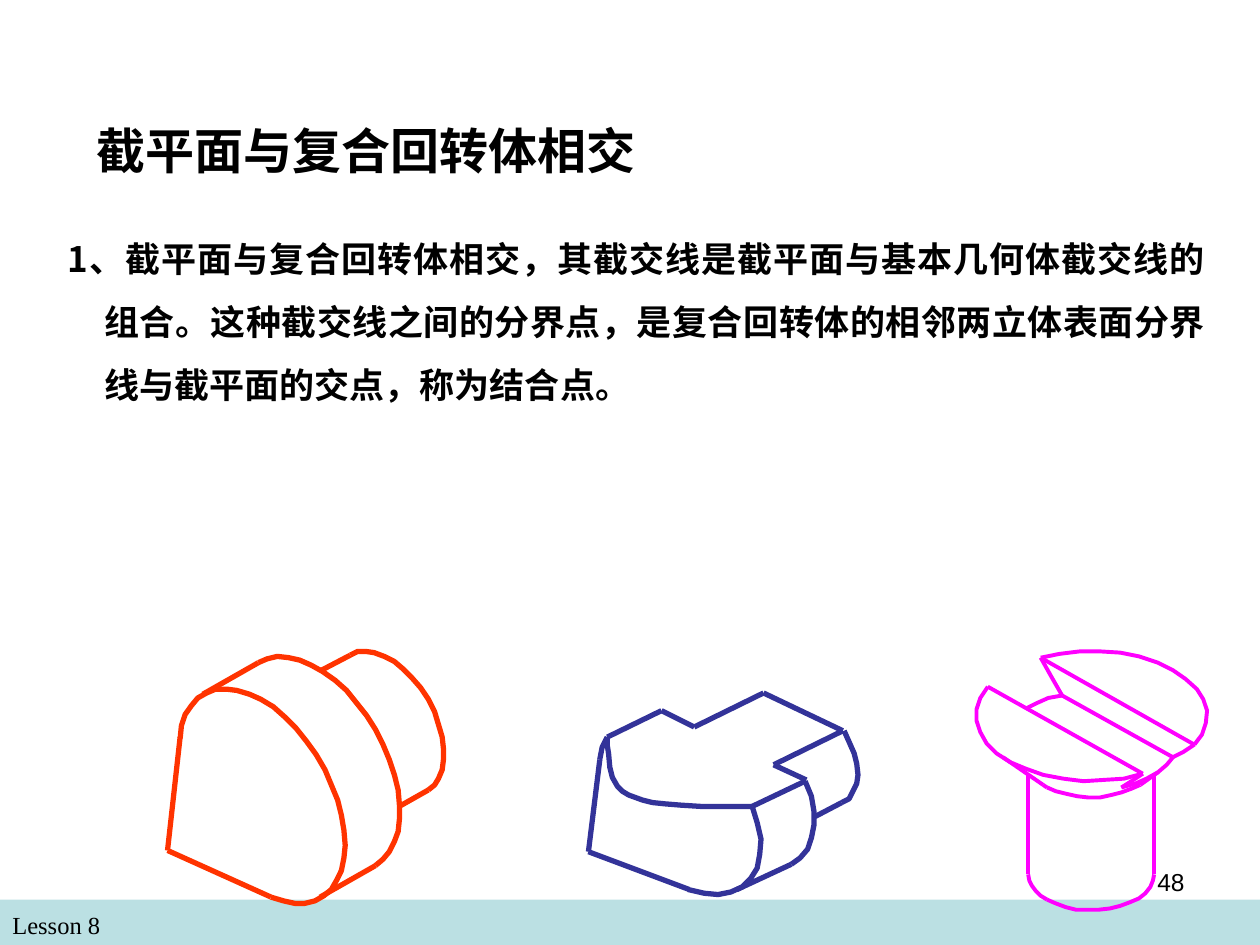
from lxml import etree
from pptx import Presentation
from pptx import util as u
from pptx.dml.color import RGBColor
from pptx.enum import shapes, text
from pptx.oxml.ns import qn

BLACK = RGBColor(0x00, 0x00, 0x00)
TEAL = RGBColor(0xBB, 0xE0, 0xE3)
RED = RGBColor(0xFF, 0x33, 0x00)
NAVY = RGBColor(0x33, 0x33, 0x99)
PINK = RGBColor(0xFF, 0x00, 0xFF)
HAN = "Noto Sans CJK SC"

# Each stroke is a list of (x, y) points in inches.
CAM = [
    # front face, collar and rear shaft
    [(2.15, 7.12), (2.25, 7.15), (2.34, 7.17), (2.42, 7.17), (2.5, 7.15),
     (2.57, 7.11), (2.63, 7.06), (2.67, 6.99), (2.71, 6.91), (2.73, 6.81),
     (2.74, 6.71), (2.73, 6.59), (2.71, 6.47), (2.68, 6.35), (2.63, 6.23),
     (2.58, 6.11), (2.51, 5.99), (2.43, 5.88), (2.35, 5.78), (2.26, 5.69),
     (2.17, 5.61), (2.07, 5.55), (1.98, 5.51), (1.88, 5.48), (1.8, 5.47),
     (1.71, 5.47), (1.64, 5.5), (1.57, 5.54), (1.52, 5.6), (1.47, 5.67),
     (1.44, 5.76), (1.43, 5.86)],
    [(2.98, 6.87), (3.04, 6.82), (3.09, 6.76), (3.13, 6.68), (3.16, 6.6),
     (3.17, 6.5), (3.17, 6.39), (3.16, 6.27), (3.13, 6.15), (3.09, 6.03),
     (3.04, 5.91), (2.98, 5.79), (2.91, 5.68), (2.83, 5.58), (2.75, 5.48),
     (2.66, 5.4), (2.56, 5.33), (2.47, 5.28), (2.38, 5.24), (2.29, 5.22),
     (2.2, 5.21), (2.12, 5.23), (2.05, 5.26)],
    [(3.4, 6.27), (3.45, 6.23), (3.48, 6.18), (3.51, 6.11), (3.52, 6.03),
     (3.52, 5.94), (3.51, 5.85), (3.48, 5.75), (3.45, 5.65), (3.4, 5.55),
     (3.34, 5.46), (3.27, 5.38), (3.2, 5.31), (3.13, 5.25), (3.05, 5.21),
     (2.97, 5.18), (2.9, 5.17), (2.84, 5.17), (2.78, 5.2)],
    # straight edges
    [(2.78, 5.2), (2.55, 5.32)],
    [(3.17, 6.4), (3.4, 6.27)],
    [(2.05, 5.26), (1.61, 5.51)],
    [(2.54, 7.12), (2.98, 6.87)],
    [(1.43, 5.85), (1.33, 6.75)],
    [(1.33, 6.75), (2.15, 7.12)],
]

BLOCK = [
    # round faces
    [(6.68, 6.37), (6.74, 6.34), (6.77, 6.28), (6.8, 6.22), (6.81, 6.15),
     (6.8, 6.06), (6.78, 5.98), (6.74, 5.89), (6.7, 5.8)],
    [(4.82, 5.85), (4.78, 5.93), (4.76, 6.03)],
    [(5.46, 7.06), (5.59, 7.09), (5.7, 7.1), (5.8, 7.08), (5.89, 7.04),
     (5.96, 6.97), (6.01, 6.89), (6.03, 6.78), (6.04, 6.66), (6.01, 6.53),
     (5.97, 6.4)],
    [(6.28, 6.86), (6.35, 6.81), (6.41, 6.74), (6.44, 6.65), (6.46, 6.55),
     (6.46, 6.44), (6.44, 6.32), (6.39, 6.2)],
    # top plane
    [(6.14, 6.07), (6.69, 5.8)],
    [(6.4, 6.19), (6.14, 6.07)],
    [(5.97, 6.4), (6.39, 6.2)],
    [(4.82, 5.85), (4.82, 5.92), (4.83, 5.98), (4.84, 6.09), (4.86, 6.17),
     (4.9, 6.24), (4.94, 6.28), (4.99, 6.31), (5.1, 6.35), (5.18, 6.37),
     (5.28, 6.38), (5.4, 6.39), (5.56, 6.4), (5.74, 6.4), (5.97, 6.4)],
    [(5.25, 5.64), (4.82, 5.85)],
    [(5.51, 5.77), (5.25, 5.64)],
    [(6.06, 5.5), (5.51, 5.77)],
    [(6.69, 5.8), (6.06, 5.5)],
    # side edges
    [(5.85, 7.06), (6.28, 6.86)],
    [(6.47, 6.48), (6.68, 6.37)],
    [(4.76, 6.03), (4.67, 6.76)],
    [(4.67, 6.76), (5.47, 7.06)],
]

SCREW = [
    # neck and shank
    [(8.31, 6.25), (8.38, 6.28), (8.46, 6.3), (8.55, 6.32), (8.64, 6.33),
     (8.73, 6.33), (8.82, 6.31), (8.9, 6.29), (8.98, 6.26), (9.05, 6.23)],
    [(8.28, 6.23), (8.31, 6.25)],
    [(8.31, 7.14), (8.38, 7.17), (8.46, 7.2), (8.54, 7.22), (8.63, 7.22),
     (8.72, 7.22), (8.81, 7.21), (8.89, 7.19), (8.97, 7.16), (9.04, 7.13),
     (9.09, 7.09), (9.13, 7.04), (9.15, 6.99), (9.16, 6.94)],
    [(8.16, 6.94), (8.17, 6.99), (8.19, 7.03), (8.22, 7.07), (8.26, 7.11),
     (8.31, 7.14)],
    # two halves of the head
    [(9.48, 5.91), (9.54, 5.83), (9.57, 5.74), (9.58, 5.64), (9.55, 5.55),
     (9.5, 5.47), (9.41, 5.39), (9.31, 5.32), (9.19, 5.26), (9.04, 5.21),
     (8.89, 5.18), (8.73, 5.17), (8.57, 5.17), (8.41, 5.19), (8.26, 5.22)],
    [(7.84, 5.45), (7.78, 5.54), (7.75, 5.63), (7.75, 5.72), (7.78, 5.81),
     (7.83, 5.9), (7.91, 5.98), (8.02, 6.05), (8.14, 6.1), (8.28, 6.15),
     (8.44, 6.18), (8.6, 6.2), (8.76, 6.19), (8.92, 6.18), (9.07, 6.14)],
    # slot
    [(8.9, 6.25), (8.98, 6.2), (9.07, 6.14)],
    [(9.07, 6.14), (7.84, 5.45)],
    [(8.9, 6.25), (9.01, 6.22), (9.1, 6.18), (9.19, 6.13), (9.26, 6.07),
     (9.31, 6.01)],
    [(8.43, 5.52), (8.32, 5.54), (8.23, 5.58), (8.15, 5.62)],
    [(8.26, 5.22), (9.48, 5.91)],
    [(9.48, 5.91), (9.39, 5.97), (9.31, 6.01)],
    [(8.43, 5.52), (9.31, 6.01)],
    [(8.43, 5.52), (8.35, 5.38), (8.26, 5.22)],
    # shank sides and cone
    [(9.16, 6.94), (9.16, 6.15)],
    [(8.16, 6.15), (8.16, 6.94)],
    [(9.05, 6.23), (9.19, 6.13)],
    [(7.96, 6.01), (8.28, 6.23)],
]


class Board:
    """Holds the slide being drawn and its text colour."""

    def __init__(self, slide, ink=BLACK):
        self.slide = slide
        self.ink = ink

    def band(self, x, y, w, h, color):
        bar = self.slide.shapes.add_shape(
            shapes.MSO_SHAPE.RECTANGLE, *map(u.Inches, (x, y, w, h)))
        bar.shadow.inherit = False
        bar.fill.solid()
        bar.fill.fore_color.rgb = color
        bar.line.fill.background()

    def label(self, words, x, y, w, h, size, font, bold=False,
              align=text.PP_ALIGN.LEFT, anchor=text.MSO_ANCHOR.TOP):
        """Add a one-paragraph text box and return its paragraph."""
        box = self.slide.shapes.add_textbox(*map(u.Inches, (x, y, w, h)))
        frame = box.text_frame
        frame.word_wrap = True
        frame.vertical_anchor = anchor
        frame.text = words
        para = frame.paragraphs[0]
        para.alignment = align
        face = para.runs[0].font
        face.size, face.bold, face.name = u.Pt(size), bold, font
        face.color.rgb = self.ink
        props = para.runs[0]._r.get_or_add_rPr()
        etree.SubElement(props, qn("a:ea")).set("typeface", HAN)
        return para

    def sketch(self, strokes, color, width):
        """Draw the strokes as one group of open outlines."""
        group = self.slide.shapes.add_group_shape()
        for stroke in strokes:
            first, *rest = [(u.Inches(x), u.Inches(y)) for x, y in stroke]
            pen = group.shapes.build_freeform(*first)
            pen.add_line_segments(rest, close=False)
            edge = pen.convert_to_shape()
            edge.shadow.inherit = False
            edge.fill.background()
            edge.line.color.rgb = color
            edge.line.width = u.Pt(width)


def main():
    deck = Presentation()
    deck.slide_width, deck.slide_height = u.Inches(10), u.Inches(7.5)
    board = Board(deck.slides.add_slide(deck.slide_layouts[6]))

    board.band(0, 7.14, 10, 0.36, TEAL)
    board.label("Lesson 8", 0, 7.17, 4.83, 0.34, 14, "Times New Roman")
    board.label("48", 7.17, 6.83, 2.33, 0.52, 14, "Arial",
                align=text.PP_ALIGN.RIGHT)
    board.label("截平面与复合回转体相交", 0.67, 0.75, 8.5, 0.88, 28, "Arial",
                bold=True, anchor=text.MSO_ANCHOR.MIDDLE)
    body = board.label(
        "1、截平面与复合回转体相交，其截交线是截平面与基本几何体截交线的组合。"
        "这种截交线之间的分界点，是复合回转体的相邻两立体表面分界线与截平面的交点，"
        "称为结合点。",
        0.23, 1.67, 9.43, 1.6, 20, HAN, bold=True,
        align=text.PP_ALIGN.JUSTIFY)
    body.line_spacing = 1.5
    props = body._p.get_or_add_pPr()
    props.set("marL", str(u.Inches(0.5)))
    props.set("indent", str(u.Inches(-0.29)))

    board.sketch(CAM, RED, 3)
    board.sketch(BLOCK, NAVY, 3)
    board.sketch(SCREW, PINK, 2.25)
    deck.save("out.pptx")


if __name__ == "__main__":
    main()
